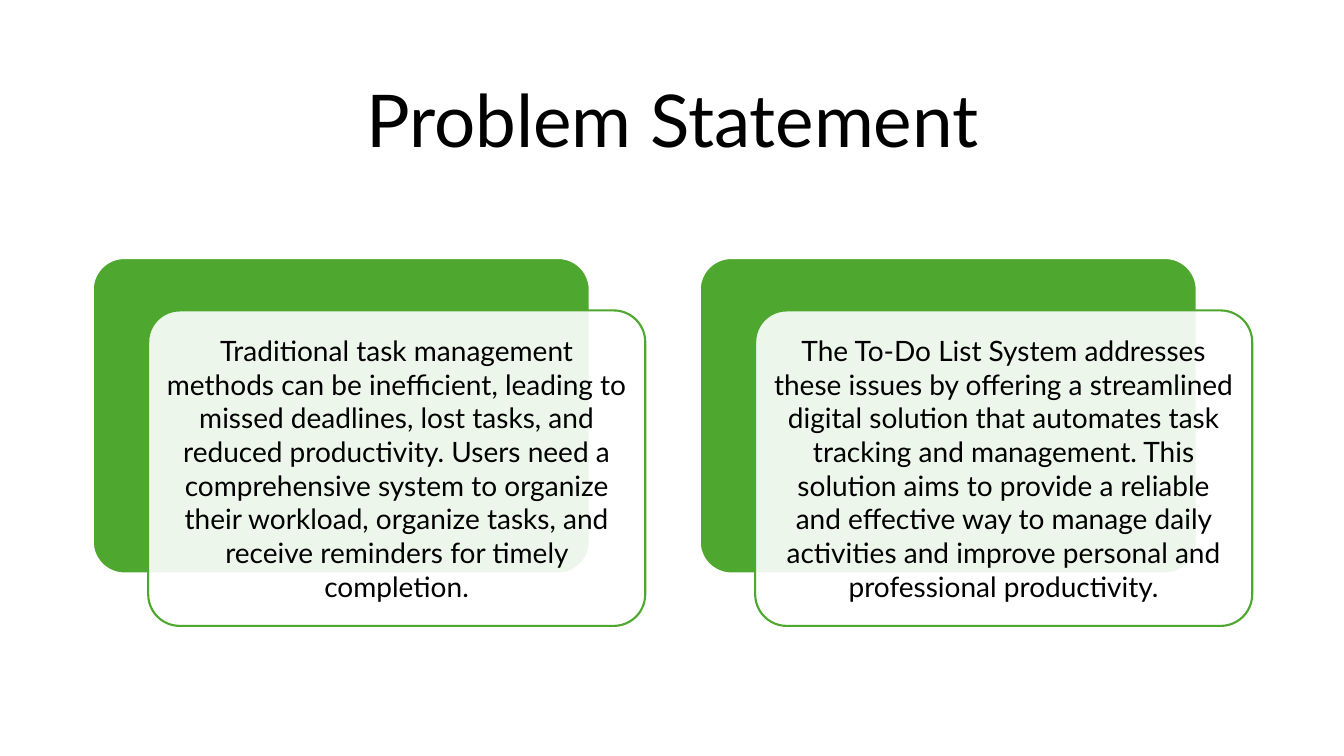
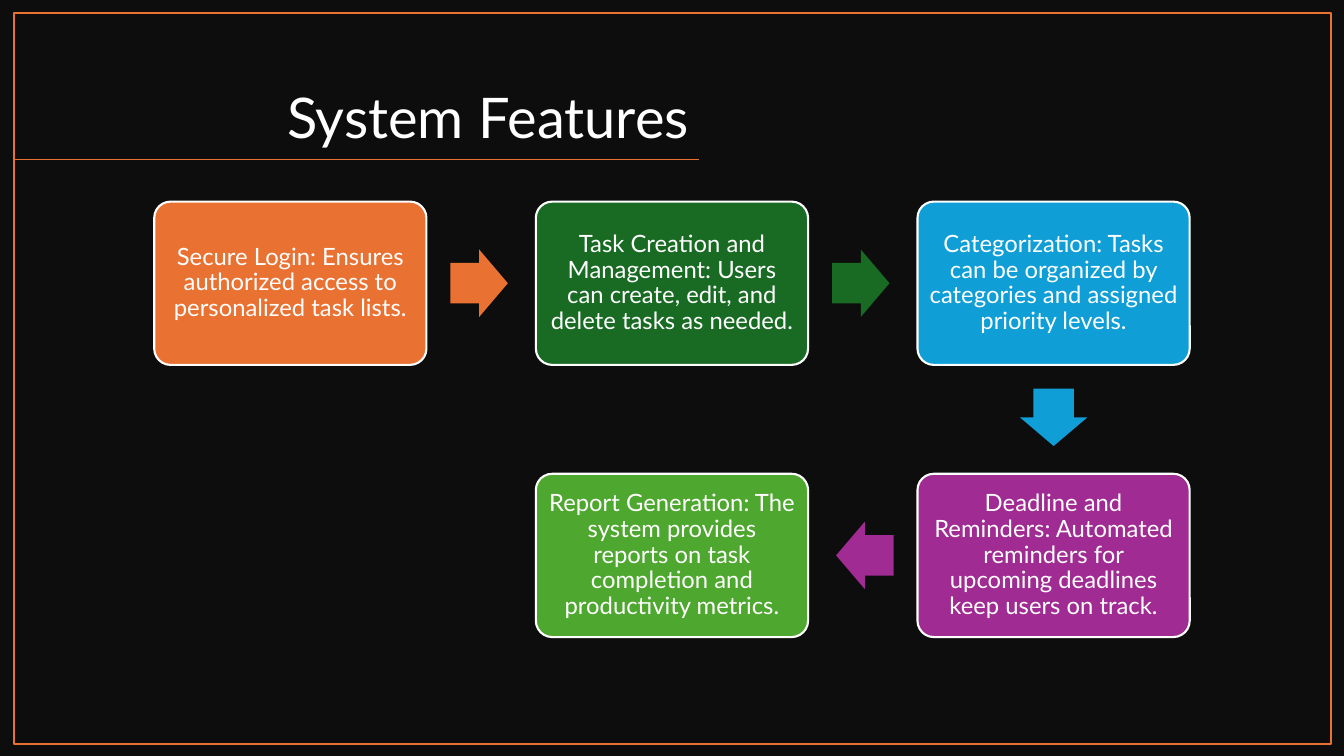
import math

import lxml.etree
import pptx
import pptx.dml.color
import pptx.enum.shapes
import pptx.enum.text
import pptx.oxml.ns
import pptx.util

Inches = pptx.util.Inches
Pt = pptx.util.Pt
SHAPE = pptx.enum.shapes.MSO_SHAPE
ALIGN = pptx.enum.text.PP_ALIGN
ANCHOR = pptx.enum.text.MSO_ANCHOR
qn = pptx.oxml.ns.qn

FONT = "Lato"
COLORS = {
    "white": "FFFFFF",
    "black": "000000",
    "night": "0D0D0D",
    "orange": "E97132",
    "forest": "196B24",
    "blue": "0F9ED5",
    "purple": "A02B93",
    "green": "4EA72E",
}

PROBLEMS = [
    "Traditional task management methods can be inefficient, leading to missed "
    "deadlines, lost tasks, and reduced productivity. Users need a comprehensive "
    "system to organize their workload, organize tasks, and receive reminders for "
    "timely completion.",
    "The To-Do List System addresses these issues by offering a streamlined digital "
    "solution that automates task tracking and management. This solution aims to "
    "provide a reliable and effective way to manage daily activities and improve "
    "personal and professional productivity.",
]

# Text, colour, column and row, in the order of the flow
FEATURES = [
    ("Secure Login: Ensures authorized access to personalized task lists.",
     "orange", 0, 0),
    ("Task Creation and Management: Users can create, edit, and delete tasks as needed.",
     "forest", 1, 0),
    ("Categorization: Tasks can be organized by categories and assigned priority levels.",
     "blue", 2, 0),
    ("Deadline and Reminders: Automated reminders for upcoming deadlines keep users on track.",
     "purple", 2, 1),
    ("Report Generation: The system provides reports on task completion and "
     "productivity metrics.", "green", 1, 1),
]


def rgb(name):
    return pptx.dml.color.RGBColor.from_string(COLORS[name])


def write(shape, text, size, color, align=ALIGN.CENTER, anchor=ANCHOR.MIDDLE,
          spacing=1.0, after=0, inset=None):
    frame = shape.text_frame
    frame.word_wrap = True
    frame.vertical_anchor = anchor
    if inset is not None:
        frame.margin_left = frame.margin_right = Inches(inset)
        frame.margin_top = frame.margin_bottom = Inches(inset)
    paragraph = frame.paragraphs[0]
    paragraph.text = text
    paragraph.alignment = align
    paragraph.line_spacing = spacing
    paragraph.space_after = Pt(after)
    paragraph.font.name = FONT
    paragraph.font.size = Pt(size)
    paragraph.font.color.rgb = rgb(color)


def add_title(slide, box, text, size, color, align, anchor):
    title = slide.shapes.add_textbox(*map(Inches, box))
    write(title, text, size, color, align, anchor, spacing=0.9, after=6)


def add_block(slide, kind, box, fill=None, line=None, line_width=1.5, adjust=()):
    block = slide.shapes.add_shape(kind, *map(Inches, box))
    block.shadow.inherit = False
    for index, value in enumerate(adjust):
        block.adjustments[index] = value
    if fill:
        block.fill.solid()
        block.fill.fore_color.rgb = rgb(fill)
    else:
        block.fill.background()
    if line:
        block.line.color.rgb = rgb(line)
        block.line.width = Pt(line_width)
    else:
        block.line.fill.background()
    return block


def add_card(slide, box, fill, line):
    return add_block(slide, SHAPE.ROUNDED_RECTANGLE, box, fill, line, adjust=(0.1,))


def set_opacity(shape, percent):
    color = shape.element.spPr.find(qn("a:solidFill")).find(qn("a:srgbClr"))
    lxml.etree.SubElement(color, qn("a:alpha"), val=str(percent * 1000))


def add_layered_card(slide, box, text):
    """A solid card with a translucent text card shifted to the lower right."""
    left, top, width, height = box
    shift_x, shift_y = 0.55, 0.52
    card_size = (width - shift_x, height - shift_y)
    add_card(slide, (left, top, *card_size), "green", "white")
    front = add_card(slide, (left + shift_x, top + shift_y, *card_size), "white", "green")
    set_opacity(front, 90)
    write(front, text, 20, "black", inset=0.08)


def add_frame(slide, box, rule_y, rule_end):
    """An outline with a title rule that starts at its left side."""
    add_block(slide, SHAPE.RECTANGLE, box, line="orange", line_width=1)
    rule = slide.shapes.add_connector(
        pptx.enum.shapes.MSO_CONNECTOR.STRAIGHT,
        Inches(rule_end), Inches(rule_y), Inches(box[0]), Inches(rule_y))
    rule.line.color.rgb = rgb("orange")
    rule.line.width = Pt(1)
    lxml.etree.SubElement(rule.element.spPr, qn("a:effectLst"))


def add_flow_arrow(slide, start, end, color):
    """An arrow between two card centres, set slightly nearer to the start."""
    width, height, setback = 0.57, 0.67, 0.02
    angle = math.atan2(end[1] - start[1], end[0] - start[0])
    center_x = (start[0] + end[0]) / 2 - setback * math.cos(angle)
    center_y = (start[1] + end[1]) / 2 - setback * math.sin(angle)
    box = (center_x - width / 2, center_y - height / 2, width, height)
    arrow = add_block(slide, SHAPE.RIGHT_ARROW, box, color, adjust=(0.6, 0.5))
    arrow.rotation = math.degrees(angle)


def add_feature_flow(slide, box):
    left, top, width, height = box
    card_width, card_height = 2.7, 1.62
    pitch_x = (width - card_width) / 2
    pitch_y = height - card_height
    previous = None
    for text, color, column, row in FEATURES:
        x, y = left + column * pitch_x, top + row * pitch_y
        center = (x + card_width / 2, y + card_height / 2)
        if previous:
            add_flow_arrow(slide, previous[0], center, previous[1])
        card = add_card(slide, (x, y, card_width, card_height), color, "white")
        write(card, text, 17, "white", spacing=0.9, inset=0.07)
        previous = (center, color)


def new_slide(deck, background):
    slide = deck.slides.add_slide(deck.slide_layouts[6])
    slide.background.fill.solid()
    slide.background.fill.fore_color.rgb = rgb(background)
    return slide


def build_problem_slide(deck):
    slide = new_slide(deck, "white")
    add_title(slide, (0.92, 0.61, 11.5, 1.24), "Problem Statement", 52, "black",
              ALIGN.CENTER, ANCHOR.MIDDLE)
    for index, text in enumerate(PROBLEMS):
        add_layered_card(slide, (0.92 + index * 6.02, 2.56, 5.48, 3.65), text)


def build_features_slide(deck):
    slide = new_slide(deck, "night")
    add_title(slide, (0.92, 0.42, 6.01, 1.12), "System Features", 40, "white",
              ALIGN.RIGHT, ANCHOR.BOTTOM)
    add_frame(slide, (0.14, 0.13, 13.06, 7.25), rule_y=1.58, rule_end=6.93)
    add_feature_flow(slide, (1.53, 2, 10.27, 4.32))


def main():
    deck = pptx.Presentation()
    deck.slide_width = Inches(13.33)
    deck.slide_height = Inches(7.5)
    build_problem_slide(deck)
    build_features_slide(deck)
    deck.save("out.pptx")


if __name__ == "__main__":
    main()
